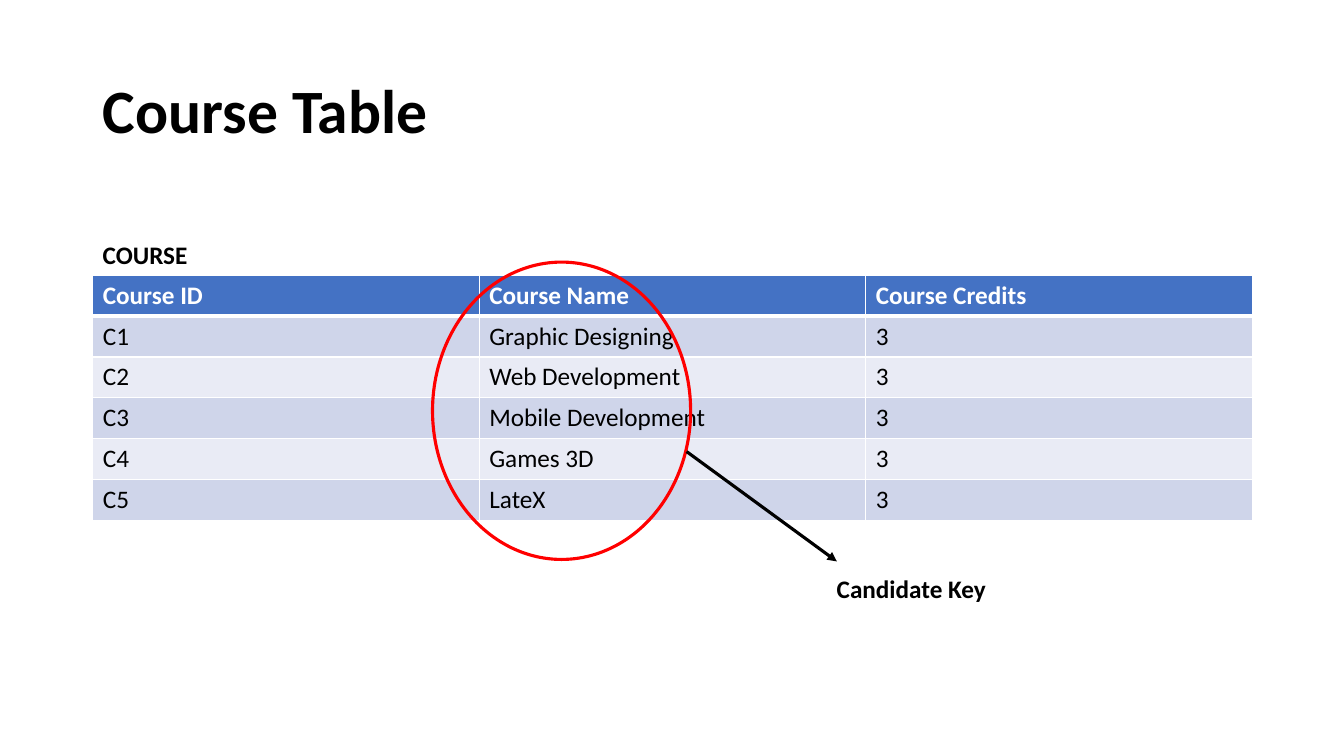
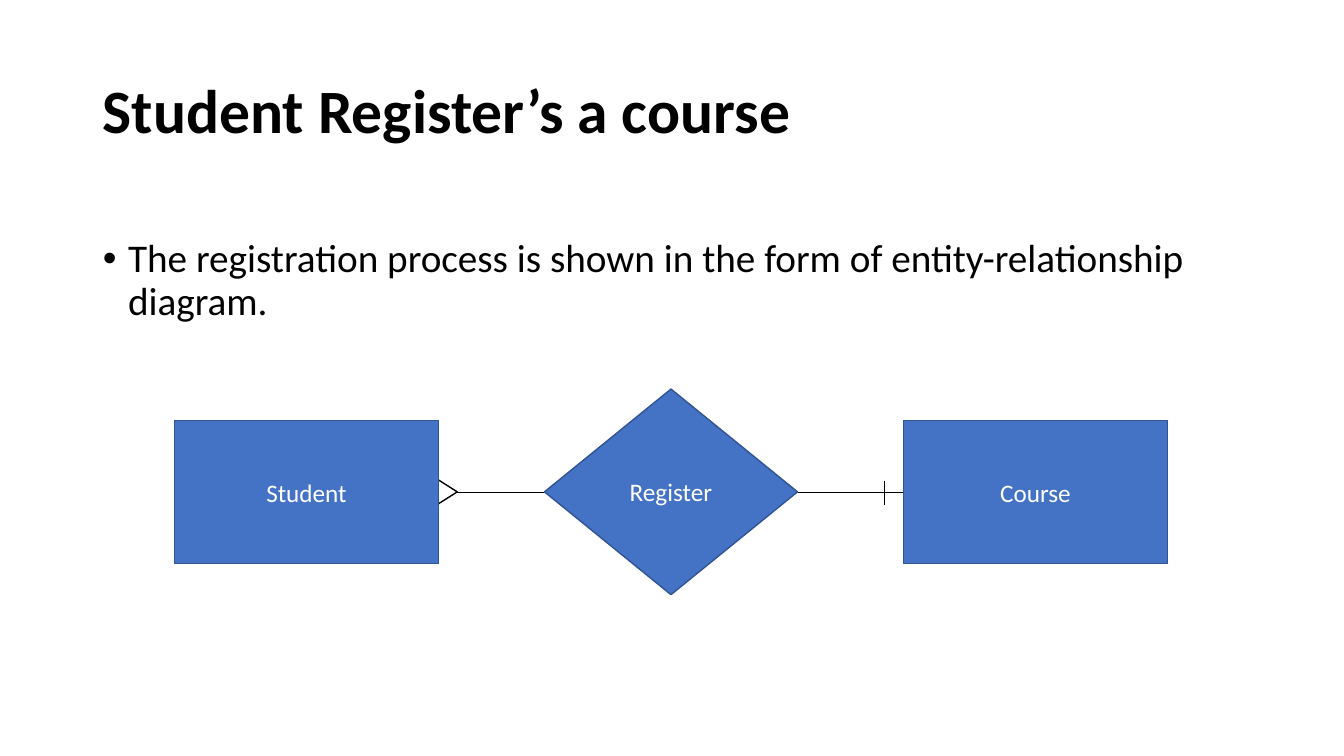
from lxml.etree import SubElement
from pptx import Presentation
from pptx.dml.color import RGBColor
from pptx.enum.shapes import MSO_CONNECTOR, MSO_SHAPE
from pptx.enum.text import MSO_ANCHOR, MSO_AUTO_SIZE, PP_ALIGN
from pptx.oxml.ns import qn
from pptx.util import Inches, Pt

FONT = "Calibri"
COLORS = {
    "text": "000000",
    "white": "FFFFFF",
    "accent": "4472C4",
    "outline": "325491",
    "band_dark": "CFD5EA",
    "band_light": "E9EBF5",
    "highlight": "FF0000",
}
LEFT, CONTENT_WIDTH = 0.92, 11.5

COURSES = [
    ("Course ID", "Course Name", "Course Credits"),
    ("C1", "Graphic Designing", "3"),
    ("C2", "Web Development", "3"),
    ("C3", "Mobile Development", "3"),
    ("C4", "Games 3D", "3"),
    ("C5", "LateX", "3"),
]
TABLE_TOP, ROW_HEIGHT = 2.73, 0.405
LABELS = [
    ("COURSE", (LEFT, 2.33, 2.66, 0.4)),
    ("Candidate Key", (8.2, 5.64, 2.35, 0.4)),
]

SUMMARY = "The registration process is shown in the form of entity-relationship diagram."
AXIS = 4.88
ENTITY_SIZE, RELATION_SIZE = (2.62, 1.42), (2.51, 2.04)
STUDENT_LEFT, LINK = 1.73, 1.05
STUDENT_RIGHT = STUDENT_LEFT + ENTITY_SIZE[0]
REGISTER_LEFT = STUDENT_RIGHT + LINK
REGISTER_RIGHT = REGISTER_LEFT + RELATION_SIZE[0]
COURSE_LEFT = REGISTER_RIGHT + LINK


def rgb(name):
    return RGBColor.from_string(COLORS[name])


def inches(values):
    return [Inches(value) for value in values]


def place(shape, box):
    shape.left, shape.top, shape.width, shape.height = inches(box)


def style_text(frame, size, color="text", bold=False):
    for para in frame.paragraphs:
        for run in para.runs:
            font = run.font
            font.name, font.size, font.bold = FONT, Pt(size), bold
            font.color.rgb = rgb(color)


def add_titled_slide(deck, layout, title):
    slide = deck.slides.add_slide(deck.slide_layouts.get_by_name(layout))
    shape = slide.shapes.title
    place(shape, (LEFT, 0.4, CONTENT_WIDTH, 1.45))
    frame = shape.text_frame
    frame.text = title
    frame.auto_size = MSO_AUTO_SIZE.NONE
    frame.vertical_anchor = MSO_ANCHOR.MIDDLE
    frame.paragraphs[0].alignment = PP_ALIGN.LEFT
    frame.paragraphs[0].line_spacing = 0.9
    style_text(frame, 44, bold=True)
    return slide


def add_label(slide, text, box):
    frame = slide.shapes.add_textbox(*inches(box)).text_frame
    frame.word_wrap = True
    frame.text = text
    style_text(frame, 18, bold=True)


def add_outlined(slide, kind, box, line, weight, fill=None, text=""):
    shape = slide.shapes.add_shape(kind, *inches(box))
    shape.shadow.inherit = False
    shape.line.color.rgb = rgb(line)
    shape.line.width = Pt(weight)
    if fill:
        shape.fill.solid()
        shape.fill.fore_color.rgb = rgb(fill)
    else:
        shape.fill.background()
    if text:
        frame = shape.text_frame
        frame.text = text
        frame.vertical_anchor = MSO_ANCHOR.MIDDLE
        frame.paragraphs[0].alignment = PP_ALIGN.CENTER
        style_text(frame, 18, "white")
    return shape


def add_line(slide, start, end, weight, arrow=False):
    line = slide.shapes.add_connector(MSO_CONNECTOR.STRAIGHT, *inches(start + end))
    line.line.color.rgb = rgb("text")
    line.line.width = Pt(weight)
    if arrow:
        SubElement(line.line._get_or_add_ln(), qn("a:tailEnd"), type="triangle")
    SubElement(line._element.spPr, qn("a:effectLst"))


def set_borders(cell, **weights):
    properties = cell._tc.get_or_add_tcPr()
    for side in "LRTB":
        width = Pt(weights.get(side, 1))
        border = SubElement(properties, qn(f"a:ln{side}"), w=str(width))
        fill = SubElement(border, qn("a:solidFill"))
        SubElement(fill, qn("a:srgbClr"), val=COLORS["white"])


def add_course_table(slide):
    rows, columns = len(COURSES), len(COURSES[0])
    box = (LEFT, TABLE_TOP, CONTENT_WIDTH, ROW_HEIGHT * rows)
    table = slide.shapes.add_table(rows, columns, *inches(box)).table
    for row, values in enumerate(COURSES):
        header = row == 0
        band = "accent" if header else "band_dark" if row % 2 else "band_light"
        for column, value in enumerate(values):
            cell = table.cell(row, column)
            cell.text = value
            style_text(cell.text_frame, 18, "white" if header else "text", header)
            set_borders(cell, B=3 if header else 1, T=3 if row == 1 else 1)
            cell.fill.solid()
            cell.fill.fore_color.rgb = rgb(band)


def add_summary(slide):
    body = slide.placeholders[1]
    place(body, (LEFT, 2.32, CONTENT_WIDTH, 4.76))
    frame = body.text_frame
    frame.text = SUMMARY
    frame.auto_size = MSO_AUTO_SIZE.NONE
    para = frame.paragraphs[0]
    para.line_spacing, para.space_before = 0.9, Pt(10)
    properties = para._p.get_or_add_pPr()
    properties.set("marL", str(Inches(0.25)))
    properties.set("indent", str(Inches(-0.25)))
    SubElement(properties, qn("a:buChar"), char="•")
    style_text(frame, 28)


def add_node(slide, kind, text, left, size):
    width, height = size
    box = (left, AXIS - height / 2, width, height)
    add_outlined(slide, kind, box, "outline", 1, "accent", text)


def build_course_slide(deck):
    slide = add_titled_slide(deck, "Title Only", "Course Table")
    add_course_table(slide)
    for text, box in LABELS:
        add_label(slide, text, box)
    add_outlined(slide, MSO_SHAPE.OVAL, (4.29, 2.6, 2.56, 2.95), "highlight", 2.25)
    add_line(slide, (6.81, 4.48), (8.3, 5.57), 2.25, arrow=True)


def build_registration_slide(deck):
    slide = add_titled_slide(deck, "Title and Content", "Student Register’s a course")
    add_summary(slide)
    add_node(slide, MSO_SHAPE.RECTANGLE, "Course", COURSE_LEFT, ENTITY_SIZE)
    add_node(slide, MSO_SHAPE.DIAMOND, "Register", REGISTER_LEFT, RELATION_SIZE)
    add_line(slide, (REGISTER_LEFT, AXIS), (STUDENT_RIGHT, AXIS), 0.5)
    add_line(slide, (REGISTER_RIGHT, AXIS), (COURSE_LEFT, AXIS), 0.5)
    many_mark = add_outlined(
        slide, MSO_SHAPE.ISOSCELES_TRIANGLE, (4.24, 4.75, 0.33, 0.26), "text", 1, "white"
    )
    many_mark.rotation = 90
    one_mark = COURSE_LEFT - 0.19
    add_line(slide, (one_mark, 4.77), (one_mark, 5.01), 0.5)
    # The student box comes last so that it hides the base of the triangle.
    add_node(slide, MSO_SHAPE.RECTANGLE, "Student", STUDENT_LEFT, ENTITY_SIZE)


def main():
    deck = Presentation()
    deck.slide_width, deck.slide_height = Inches(13.33), Inches(7.5)
    build_course_slide(deck)
    build_registration_slide(deck)
    deck.save("out.pptx")


if __name__ == "__main__":
    main()
